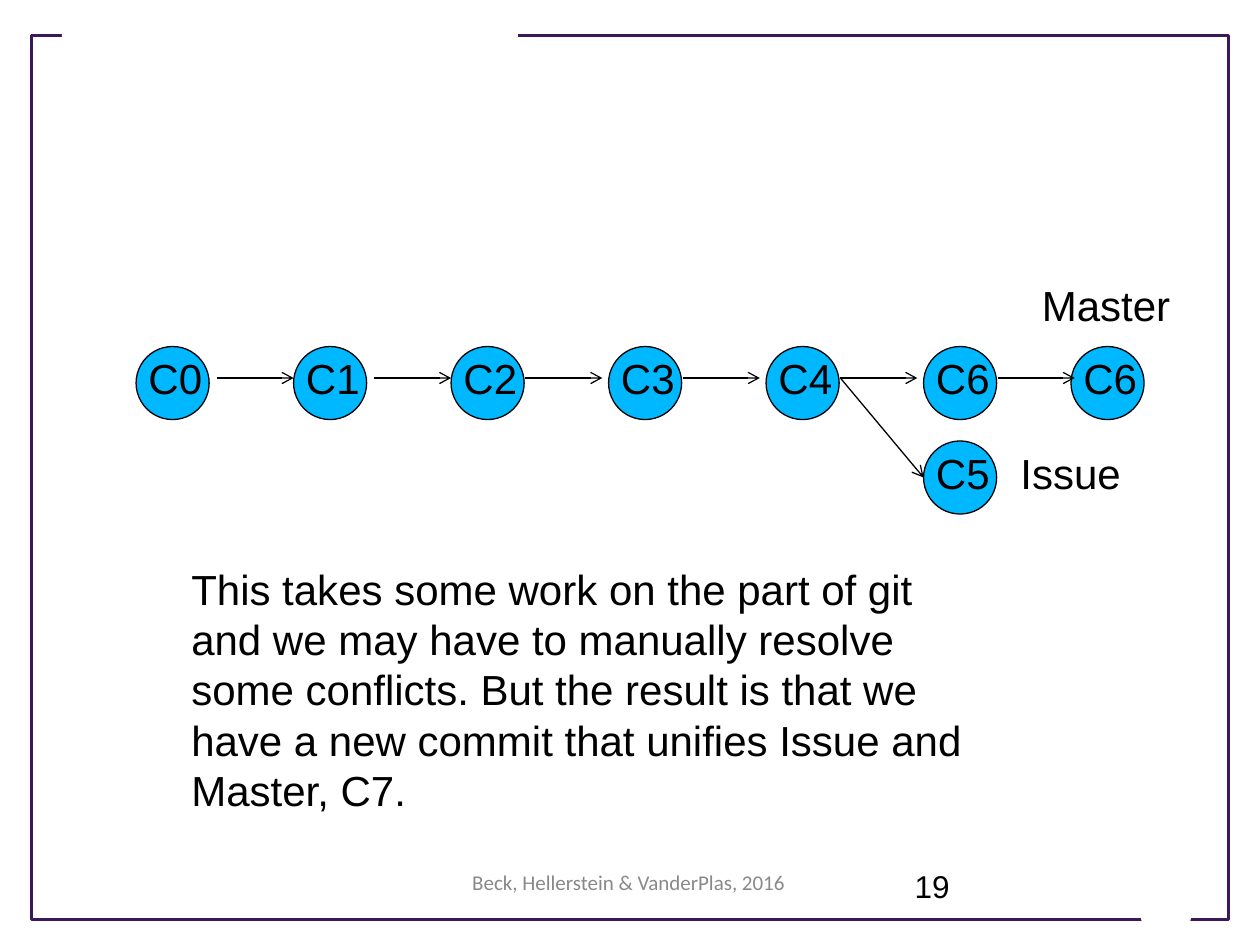
import pptx
import pptx.util
import pptx.dml.color
import pptx.enum.shapes
import pptx.enum.text
import pptx.oxml
import pptx.oxml.ns
from pptx.util import Inches

COLORS = {"frame": "3B185A", "paper": "FFFFFF", "ink": "000000",
          "commit": "00B8FF", "footer": "898989"}
SHAPE = pptx.enum.shapes.MSO_SHAPE
ALIGN = pptx.enum.text.PP_ALIGN
DIAMETER = 0.58
ARROW_LENGTH = 0.61


def color(name):
    return pptx.dml.color.RGBColor.from_string(COLORS[name])


def style(shape, fill=None, line=None, width=0.75):
    shape.shadow.inherit = False
    if fill:
        shape.fill.solid()
        shape.fill.fore_color.rgb = color(fill)
    else:
        shape.fill.background()
    if line:
        shape.line.color.rgb = color(line)
        shape.line.width = pptx.util.Pt(width)
    else:
        shape.line.fill.background()


def add_text(shapes, box, text, size=24, font="Arial", ink="ink",
             align=ALIGN.LEFT, wrap=True):
    frame = shapes.add_textbox(*map(Inches, box)).text_frame
    frame.word_wrap = wrap
    para = frame.paragraphs[0]
    para.alignment = align
    span = para.add_run()
    span.text = text
    span.font.size = pptx.util.Pt(size)
    span.font.name = font
    span.font.color.rgb = color(ink)


def add_arrow(page, start, end):
    arrow = page.shapes.add_connector(
        pptx.enum.shapes.MSO_CONNECTOR.STRAIGHT, *map(Inches, start + end))
    arrow.line.color.rgb = color("ink")
    arrow.line.width = pptx.util.Pt(0.75)
    head = pptx.oxml.parse_xml(
        f'<a:tailEnd {pptx.oxml.ns.nsdecls("a")} type="arrow"/>')
    arrow.line._get_or_add_ln().append(head)
    arrow.element.spPr.append(pptx.oxml.parse_xml(
        f'<a:effectLst {pptx.oxml.ns.nsdecls("a")}/>'))


def add_commit(page, left, top, name):
    group = page.shapes.add_group_shape()
    circle = group.shapes.add_shape(
        SHAPE.OVAL, *map(Inches, (left, top, DIAMETER, DIAMETER)))
    style(circle, fill="commit", line="ink")
    add_text(group.shapes, (left, top, 0.63, 0.5), name, wrap=False)


def add_frame(page, box):
    """Draw the border with a gap at the top left and the bottom right."""
    left, top, width, height = box
    border = page.shapes.add_shape(SHAPE.RECTANGLE, *map(Inches, box))
    style(border, line="frame", width=1.75)
    top_gap = page.shapes.add_shape(
        SHAPE.RECTANGLE, *map(Inches, (left + 0.24, top - 0.11, 3.62, 0.24)))
    style(top_gap, fill="paper")
    right, bottom = left + width, top + height
    corners = [(right - 0.78, bottom - 0.32), (right - 0.68, bottom + 0.04),
               (right - 0.31, bottom + 0.04), (right - 0.22, bottom - 0.32)]
    points = [(Inches(x), Inches(y)) for x, y in corners]
    builder = page.shapes.build_freeform(*points[0])
    builder.add_line_segments(points[1:], close=True)
    style(builder.convert_to_shape(), fill="paper")


def add_footer(page, box):
    left, top, width, height = box
    add_text(page.shapes, (left + 3.75, top - 0.02, 1.51, height), "19", size=18)
    add_text(page.shapes, (left, top, width, height),
             "Beck, Hellerstein & VanderPlas, 2016", size=12,
             font="Calibri", ink="footer", align=ALIGN.CENTER)


def add_history(page, box):
    """Draw the master row of commits and the issue branch below it."""
    left, top, width, height = box
    step = 1.25
    lefts = [left + step * i for i in range(6)] + [left + width - DIAMETER]
    for x, name in zip(lefts, ("C0", "C1", "C2", "C3", "C4", "C6", "C6")):
        add_commit(page, x, top, name)
    branch_top = top + height - DIAMETER
    add_commit(page, lefts[5], branch_top, "C5")

    arrow_y = top + 0.25
    for i, x in enumerate(lefts[:-1]):
        # The first two arrows end at the next circle, the others start at theirs.
        start = x + (step - ARROW_LENGTH if i < 2 else DIAMETER + 0.01)
        add_arrow(page, (start, arrow_y), (start + ARROW_LENGTH, arrow_y))
    add_arrow(page, (lefts[4] + DIAMETER + 0.01, arrow_y),
              (lefts[5], branch_top + DIAMETER / 2))

    add_text(page.shapes, (lefts[6] - 0.33, top - DIAMETER, 1.23, 0.5),
             "Master", wrap=False)
    add_text(page.shapes, (lefts[5] + 0.67, branch_top, 1.01, 0.5),
             "Issue", wrap=False)


def main():
    deck = pptx.Presentation()
    deck.slide_width, deck.slide_height = Inches(10), Inches(7.5)
    page = deck.slides.add_slide(deck.slide_layouts[6])
    add_frame(page, (0.25, 0.28, 9.5, 7.02))
    add_footer(page, (3.41, 6.85, 3.16, 0.4))
    add_history(page, (1.08, 2.75, 8, 1.33))
    add_text(page.shapes, (1.42, 4.42, 6.5, 2.12),
             "This takes some work on the part of git and we may have to "
             "manually resolve some conflicts. But the result is that we have "
             "a new commit that unifies Issue and Master, C7.")
    deck.save("out.pptx")


if __name__ == "__main__":
    main()
